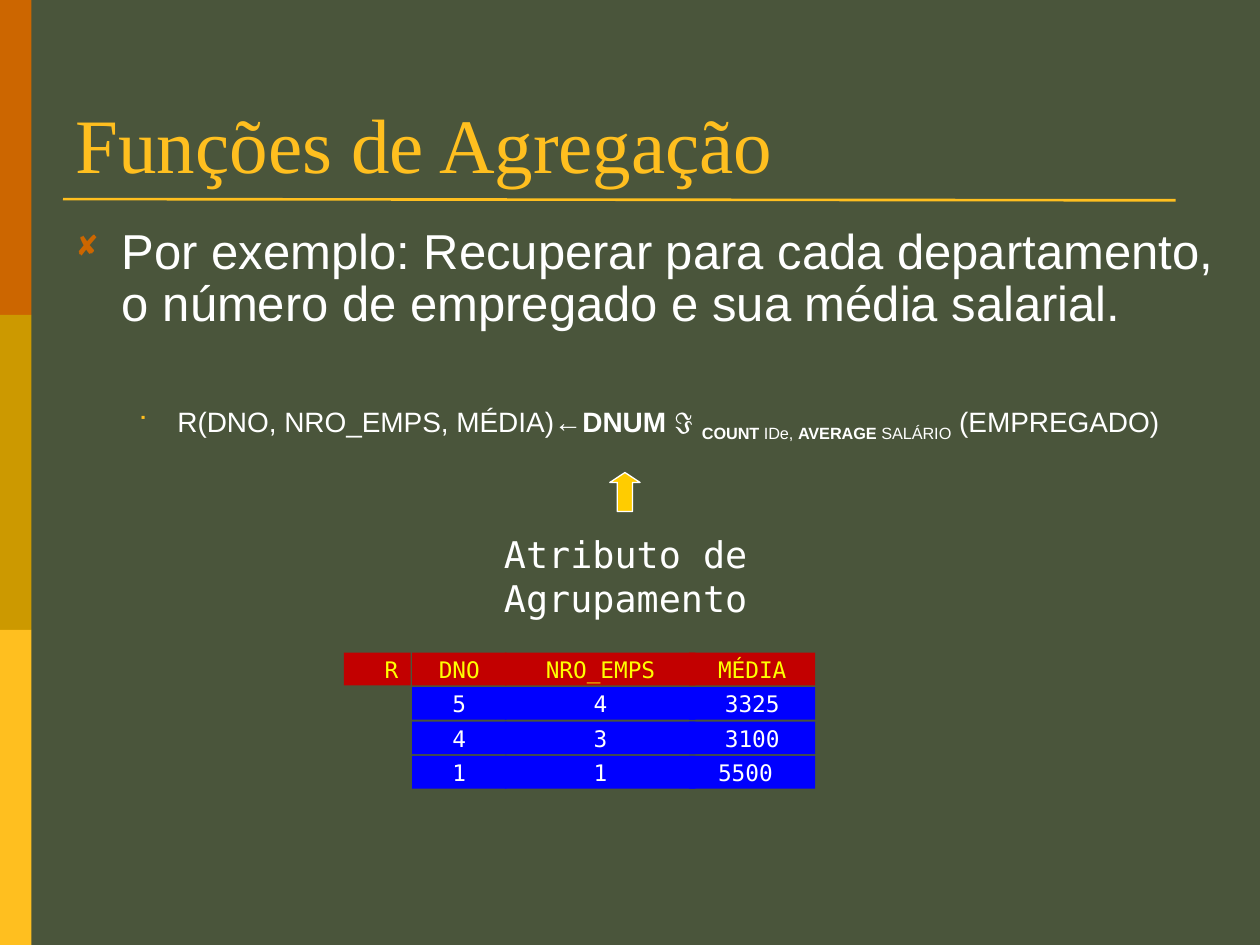
from dataclasses import dataclass

from lxml.etree import SubElement
from pptx import Presentation
from pptx.dml.color import RGBColor
from pptx.enum.shapes import MSO_CONNECTOR, MSO_SHAPE
from pptx.enum.text import MSO_ANCHOR, PP_ALIGN
from pptx.oxml.ns import qn
from pptx.util import Inches, Pt


@dataclass(frozen=True)
class Theme:
    background: str = "4A553B"
    orange: str = "CC6600"
    ochre: str = "CC9900"
    gold: str = "FFBF1F"
    arrow: str = "FFCC00"
    white: str = "FFFFFF"
    header_fill: str = "C20000"
    header_text: str = "FFFF00"
    cell_fill: str = "0000FF"
    title_font: str = "Times New Roman"
    body_font: str = "Arial"
    mono_font: str = "DejaVu Sans Mono"
    bullet_font: str = "Wingdings"
    title_size: int = 44
    body_size: int = 28
    caption_size: int = 21
    formula_size: int = 16
    table_size: int = 13


THEME = Theme()
FORMULA = [  # text, bold, subscript
    ("R(DNO, NRO_EMPS, MÉDIA)←", False, False),
    ("DNUM ", True, False),
    ("ℑ ", False, False),
    ("COUNT", True, True),
    (" IDe, ", False, True),
    ("AVERAGE", True, True),
    (" SALÁRIO", False, True),
    (" (EMPREGADO)", False, False),
]
RESULT_COLUMNS = [  # left, width, header and values
    (5.47, 1, ("MÉDIA", "3325", "3100", "5500 ")),
    (3.27, 0.75, ("DNO", "5", "4", "1")),
    (4.01, 1.51, ("NRO_EMPS", "4", "3", "1")),
]
RESULT_TOP = 5.18
ROW_PITCH = 0.82 / 3


def rgb(color):
    return RGBColor.from_string(color)


def style_font(font, name, size, color):
    font.name = name
    font.size = Pt(size)
    font.color.rgb = rgb(color)


def clear_margins(tf):
    tf.margin_left = tf.margin_top = tf.margin_right = tf.margin_bottom = 0


def add_filled_shape(s, kind, left, top, width, height, fill):
    sp = s.shapes.add_shape(kind, Inches(left), Inches(top), Inches(width), Inches(height))
    sp.shadow.inherit = False
    sp.fill.solid()
    sp.fill.fore_color.rgb = rgb(fill)
    sp.line.fill.background()
    return sp


def add_text_box(s, left, top, width, height):
    box = s.shapes.add_textbox(Inches(left), Inches(top), Inches(width), Inches(height))
    box.text_frame.word_wrap = True
    return box.text_frame


def add_decoration(s):
    for i, color in enumerate((THEME.orange, THEME.ochre, THEME.gold)):
        add_filled_shape(s, MSO_SHAPE.RECTANGLE, 0, 2.5 * i, 0.25, 2.5, color)
    rule = s.shapes.add_connector(
        MSO_CONNECTOR.STRAIGHT, Inches(0.5), Inches(1.58), Inches(9.33), Inches(1.59))
    rule.line.color.rgb = rgb(THEME.gold)
    rule.line.width = Pt(1.5)
    SubElement(rule._element.spPr, qn("a:effectLst"))


def format_title(s, text):
    title = s.shapes.title
    title.left, title.top = Inches(0.5), Inches(0.3)
    title.width, title.height = Inches(9), Inches(1.25)
    tf = title.text_frame
    tf.text = text
    tf.vertical_anchor = MSO_ANCHOR.BOTTOM
    p = tf.paragraphs[0]
    p.alignment = PP_ALIGN.LEFT
    style_font(p.runs[0].font, THEME.title_font, THEME.title_size, THEME.gold)


def set_bullet(p, char, color, margin, hanging):
    pPr = p._p.get_or_add_pPr()
    pPr.set("marL", str(Inches(margin)))
    pPr.set("indent", str(-Inches(hanging)))
    SubElement(SubElement(pPr, qn("a:buClr")), qn("a:srgbClr"), val=color)
    SubElement(pPr, qn("a:buSzPct"), val="75000")
    SubElement(pPr, qn("a:buFont"), typeface=THEME.bullet_font, charset="2")
    SubElement(pPr, qn("a:buChar"), char=char)
    p.line_spacing = 0.9


def add_body(s):
    tf = add_text_box(s, 0.5, 1.75, 9.3, 2.08)
    p = tf.paragraphs[0]
    p.text = ("Por exemplo: Recuperar para cada departamento, "
              "o número de empregado e sua média salarial.")
    set_bullet(p, "◻", THEME.orange, 0.37, 0.37)
    style_font(p.runs[0].font, THEME.body_font, THEME.body_size, THEME.white)

    p = tf.add_paragraph()
    p.level = 1
    set_bullet(p, "■", THEME.gold, 0.81, 0.31)
    p.space_before = Pt(41.5)
    for text, bold, subscript in FORMULA:
        r = p.add_run()
        r.text = text
        style_font(r.font, THEME.body_font, THEME.formula_size, THEME.white)
        r.font.bold = bold
        if subscript:
            r.font._element.set("baseline", "-25000")


def add_grouping_note(s):
    tf = add_text_box(s, 3.27, 4.22, 3.39, 0.42)
    clear_margins(tf)
    p = tf.paragraphs[0]
    p.text = "Atributo de Agrupamento"
    p.alignment = PP_ALIGN.CENTER
    style_font(p.runs[0].font, THEME.mono_font, THEME.caption_size, THEME.white)

    arrow = add_filled_shape(s, MSO_SHAPE.UP_ARROW, 4.84, 3.75, 0.24, 0.31, THEME.arrow)
    arrow.adjustments[0], arrow.adjustments[1] = 0.5, 0.33
    arrow.line.color.rgb = rgb(THEME.white)
    arrow.line.width = Pt(0.75)


def add_cell(group, text, left, row, width):
    is_header = row == 0
    fill = THEME.header_fill if is_header else THEME.cell_fill
    sp = add_filled_shape(group, MSO_SHAPE.RECTANGLE, left,
                          RESULT_TOP + ROW_PITCH * row, width, 0.26, fill)
    tf = sp.text_frame
    clear_margins(tf)
    tf.vertical_anchor = MSO_ANCHOR.MIDDLE
    p = tf.paragraphs[0]
    p.text = text
    p.alignment = PP_ALIGN.CENTER
    color = THEME.header_text if is_header else THEME.white
    style_font(p.runs[0].font, THEME.mono_font, THEME.table_size, color)
    return tf


def add_result_relation(s):
    group = s.shapes.add_group_shape()
    label = add_cell(group, "R", 2.73, 0, 0.53)
    label.paragraphs[0].alignment = PP_ALIGN.RIGHT
    label.margin_right = Inches(0.1)
    for left, width, values in RESULT_COLUMNS:
        for row, text in enumerate(values):
            add_cell(group, text, left, row, width)


def main():
    prs = Presentation()
    prs.slide_width, prs.slide_height = Inches(10), Inches(7.5)
    s = prs.slides.add_slide(prs.slide_layouts[5])
    s.background.fill.solid()
    s.background.fill.fore_color.rgb = rgb(THEME.background)
    add_decoration(s)
    format_title(s, "Funções de Agregação")
    add_body(s)
    add_grouping_note(s)
    add_result_relation(s)
    prs.save("out.pptx")


if __name__ == "__main__":
    main()
